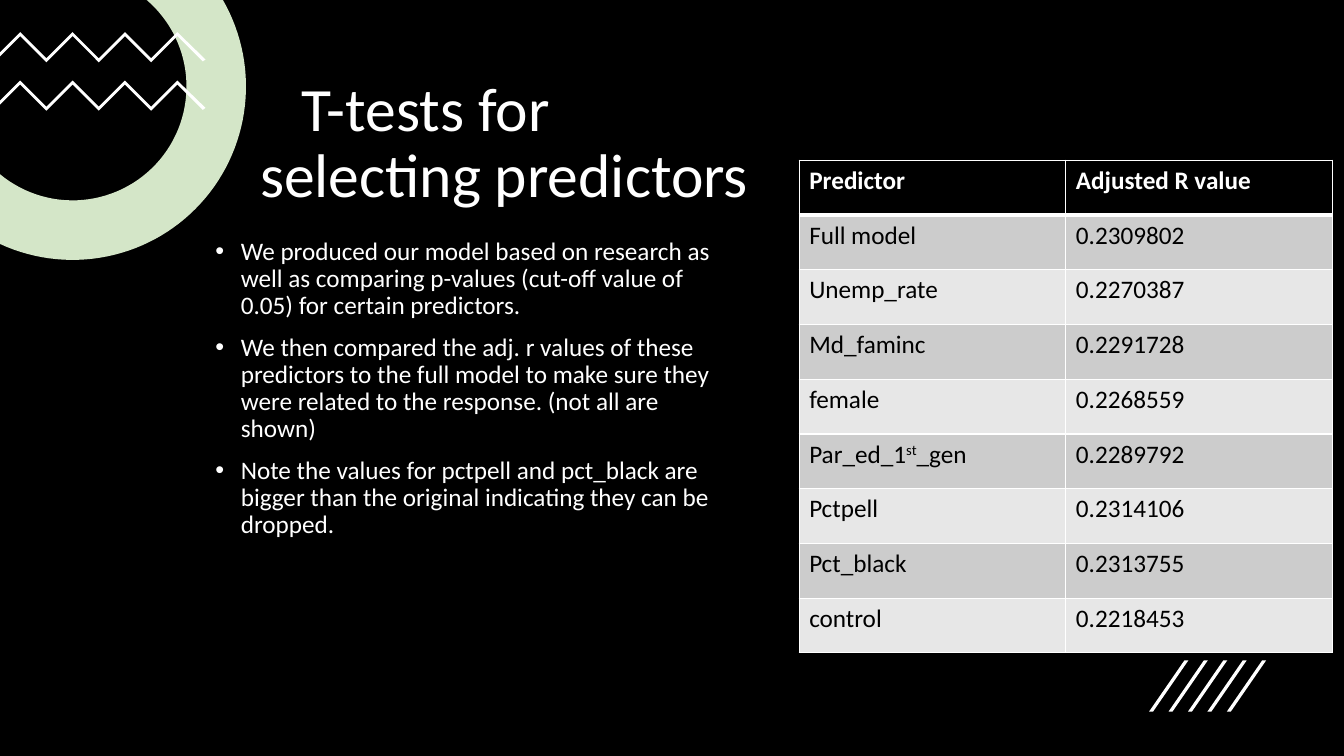
from dataclasses import dataclass
from math import acos, asin, cos, pi, sin

from lxml.etree import SubElement
from pptx import Presentation
from pptx.dml.color import RGBColor
from pptx.enum.text import MSO_ANCHOR, MSO_AUTO_SIZE, PP_ALIGN
from pptx.oxml import parse_xml
from pptx.oxml.ns import nsdecls, qn
from pptx.slide import Slide
from pptx.table import _Cell
from pptx.text.text import Font
from pptx.util import Cm, Pt

BLACK, WHITE, GREEN = "000000", "FFFFFF", "D4E6C8"
BANDS = ("CCCCCC", "E7E7E7")
Point = tuple[float, float]


@dataclass(frozen=True)
class Predictor:
    name: str
    adjusted_r: str
    superscript: str = ""
    suffix: str = ""


PREDICTORS = [
    Predictor("Full model", "0.2309802"),
    Predictor("Unemp_rate", "0.2270387"),
    Predictor("Md_faminc", "0.2291728"),
    Predictor("female", "0.2268559"),
    Predictor("Par_ed_1", "0.2289792", "st", "_gen"),
    Predictor("Pctpell", "0.2314106"),
    Predictor("Pct_black", "0.2313755"),
    Predictor("control", "0.2218453"),
]

POINTS = [
    "We produced our model based on research as well as comparing p-values "
    "(cut-off value of 0.05) for certain predictors.",
    "We then compared the adj. r values of these predictors to the full model "
    "to make sure they were related to the response. (not all are shown)",
    "Note the values for pctpell and pct_black are bigger than the original "
    "indicating they can be dropped.",
]


def color(code: str) -> RGBColor:
    return RGBColor.from_string(code)


def style_font(font: Font, size: float, code: str, bold: bool = False) -> None:
    font.name, font.size, font.bold = "Calibri", Pt(size), bold
    font.color.rgb = color(code)


def draw_outline(slide: Slide, points: list[Point], code: str) -> None:
    """Draw a filled closed outline from points in centimetres."""
    corners = [(Cm(x), Cm(y)) for x, y in points]
    builder = slide.shapes.build_freeform(*corners[0])
    builder.add_line_segments(corners[1:], close=True)
    shape = builder.convert_to_shape()
    shape.shadow.inherit = False
    shape.fill.solid()
    shape.fill.fore_color.rgb = color(code)
    shape.line.fill.background()


def ring_arc(radius: float, steps: int = 60) -> list[Point]:
    """Points of a circle from the slide's top edge to its left edge."""
    center_x, center_y = 1.83, 2.18
    start, end = asin(-center_y / radius), acos(-center_x / radius)
    angles = [start + (end - start) * step / steps for step in range(steps + 1)]
    return [(center_x + radius * cos(a), center_y + radius * sin(a)) for a in angles]


def draw_zigzag(slide: Slide, top: float) -> None:
    rise, thickness = 0.66, 0.1
    bends = [(0.51 + rise * k, top + rise * (k % 2)) for k in range(7)]
    upper = [(0, top + 0.51), *bends, (5.18, top + 0.69)]
    lower = [(0, top + 0.51), *bends, (5.11, top + 0.64)]
    draw_outline(slide, upper + [(x, y + thickness) for x, y in reversed(lower)], WHITE)


def draw_slash(slide: Slide, left: float) -> None:
    top, bottom, lean, width = 16.64, 17.93, 0.89, 0.1
    draw_outline(slide, [(left + width, bottom), (left, bottom),
                         (left + lean, top), (left + lean + width, top)], WHITE)


def add_title(slide: Slide) -> None:
    title = slide.shapes.title
    title.left, title.top, title.width, title.height = Cm(6.3), Cm(1.78), Cm(13.44), Cm(3.66)
    frame = title.text_frame
    frame.text = "T-tests for selecting predictors"
    frame.auto_size, frame.vertical_anchor = MSO_AUTO_SIZE.NONE, MSO_ANCHOR.BOTTOM
    para = frame.paragraphs[0]
    para.alignment, para.line_spacing = PP_ALIGN.LEFT, 0.9
    para._p.get_or_add_pPr().set("indent", str(Cm(1.05)))
    style_font(para.font, 44, WHITE)


def add_points(slide: Slide) -> None:
    box = slide.shapes.add_textbox(Cm(5.18), Cm(5.89), Cm(13.44), Cm(11.23))
    frame = box.text_frame
    frame.word_wrap = True
    for index, text in enumerate(POINTS):
        para = frame.add_paragraph() if index else frame.paragraphs[0]
        para.text = text
        para.line_spacing, para.space_before = 0.9, Pt(10)
        style_font(para.font, 18, WHITE)
        properties = para._p.get_or_add_pPr()
        properties.set("marL", str(Cm(0.64)))
        properties.set("indent", str(-Cm(0.64)))
        bullet_font = SubElement(properties, qn("a:buFont"), typeface="Arial")
        bullet = SubElement(properties, qn("a:buChar"), char="•")
        default_run = properties.find(qn("a:defRPr"))
        default_run.addprevious(bullet_font)
        default_run.addprevious(bullet)


def style_cell(cell: _Cell, fill: str, top: float, bottom: float) -> None:
    cell.fill.solid()
    cell.fill.fore_color.rgb = color(fill)
    properties = cell._tc.get_or_add_tcPr()
    sides = {"lnL": 1, "lnR": 1, "lnT": top, "lnB": bottom}
    for index, (side, width) in enumerate(sides.items()):
        properties.insert(index, parse_xml(
            f'<a:{side} {nsdecls("a")} w="{Pt(width)}"><a:solidFill>'
            f'<a:srgbClr val="{WHITE}"/></a:solidFill></a:{side}>'))


def add_table(slide: Slide) -> None:
    rows = [Predictor("Predictor", "Adjusted R value"), *PREDICTORS]
    row_height = 1.38
    frame = slide.shapes.add_table(len(rows), 2, Cm(20.14), Cm(4.04),
                                   Cm(13.44), Cm(row_height * len(rows)))
    table = frame.table
    for index, row in enumerate(rows):
        header = index == 0
        table.rows[index].height = Cm(row_height)
        fill = BLACK if header else BANDS[(index - 1) % 2]
        parts = ((row.name, row.superscript, row.suffix), (row.adjusted_r,))
        for column, texts in enumerate(parts):
            cell = table.cell(index, column)
            para = cell.text_frame.paragraphs[0]
            for position, text in enumerate(texts):
                if text:
                    span = para.add_run()
                    span.text = text
                    style_font(span.font, 18, WHITE if header else BLACK, header)
                    if position == 1:
                        span._r.get_or_add_rPr().set("baseline", "30000")
            style_cell(cell, fill, 3 if index == 1 else 1, 3 if header else 1)


def main() -> None:
    deck = Presentation()
    deck.slide_width, deck.slide_height = Cm(33.87), Cm(19.05)
    page = deck.slides.add_slide(deck.slide_layouts[5])
    page.background.fill.solid()
    page.background.fill.fore_color.rgb = color(BLACK)

    # Corner ring and zigzags
    draw_outline(page, ring_arc(4.37) + ring_arc(2.87)[::-1], GREEN)
    for top in (0.81, 2.03):
        draw_zigzag(page, top)

    # Title and bullet points
    add_title(page)
    add_points(page)

    # Slashes and table
    for number in range(5):
        draw_slash(page, 28.96 + 0.49 * number)
    add_table(page)

    deck.save("out.pptx")


if __name__ == "__main__":
    main()
